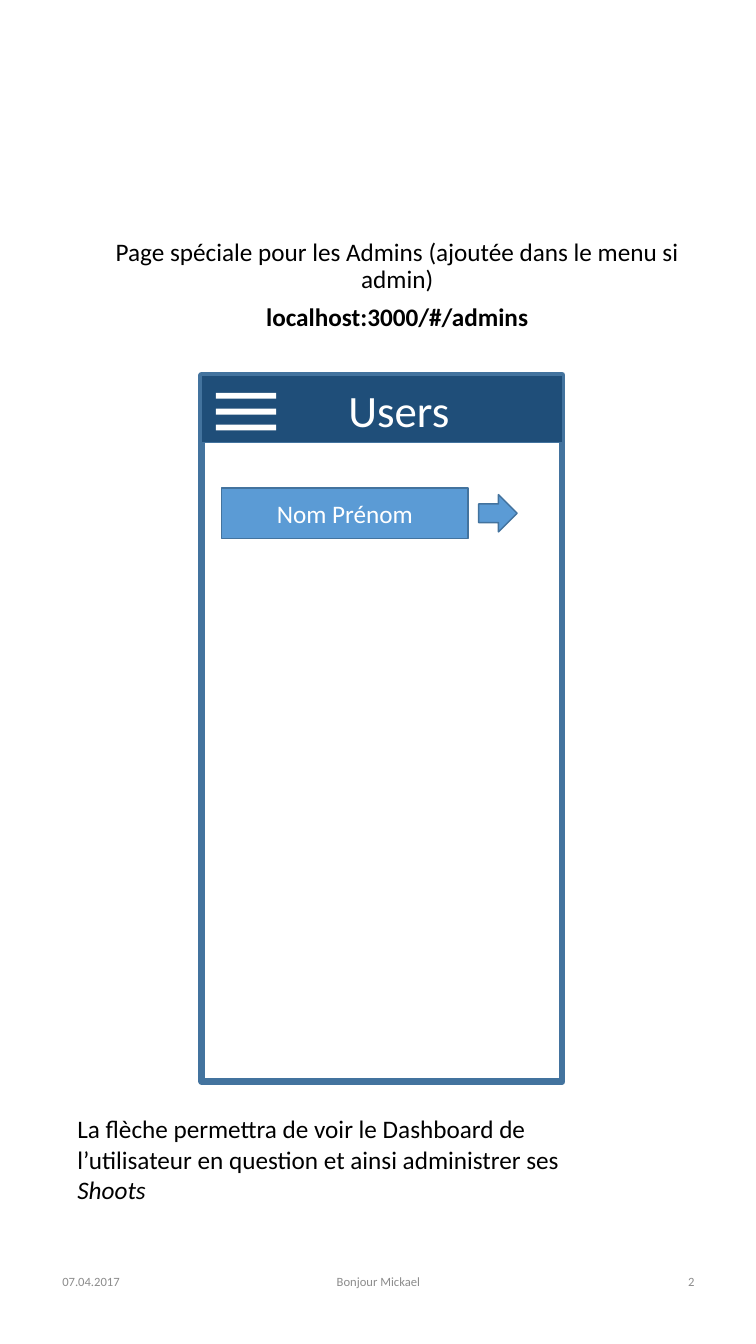
import pptx
import pptx.util
import pptx.dml.color
import pptx.enum.shapes
import pptx.enum.text
from dataclasses import dataclass

Cm = pptx.util.Cm
SHAPES = pptx.enum.shapes.MSO_SHAPE
ALIGN = pptx.enum.text.PP_ALIGN
ANCHOR = pptx.enum.text.MSO_ANCHOR


@dataclass(frozen=True)
class Theme:
    font: str = "Calibri"
    ink: str = "000000"
    muted: str = "8C8C8C"
    white: str = "FFFFFF"
    header: str = "1F4E79"
    accent: str = "5B9BD5"
    outline: str = "43739E"
    title_size: int = 32
    body_size: int = 18
    footer_size: int = 9
    frame_line: float = 4.5
    thin_line: float = 1


THEME = Theme()


def rgb(colour):
    return pptx.dml.color.RGBColor.from_string(colour)


def apply(target, settings):
    for name, value in settings.items():
        setattr(target, name, value)


def write(holder, paragraphs, size, colour, anchor=ANCHOR.TOP, **layout):
    """Fill a text frame; each paragraph is a list of (text, font settings)."""
    frame = holder.text_frame
    apply(frame, {"word_wrap": True, "vertical_anchor": anchor})
    for index, runs in enumerate(paragraphs):
        paragraph = frame.paragraphs[0] if index == 0 else frame.add_paragraph()
        apply(paragraph, layout)
        for text, emphasis in runs:
            run = paragraph.add_run()
            run.text = text
            apply(run.font, {"name": THEME.font, "size": pptx.util.Pt(size), **emphasis})
            run.font.color.rgb = rgb(colour)


def add_text(slide, box, paragraphs, size, colour, **layout):
    holder = slide.shapes.add_textbox(*map(Cm, box))
    write(holder, paragraphs, size, colour, **layout)


def add_block(slide, kind, box, fill=None, line_width=None):
    block = slide.shapes.add_shape(kind, *map(Cm, box))
    block.shadow.inherit = False
    if fill:
        block.fill.solid()
        block.fill.fore_color.rgb = rgb(fill)
    else:
        block.fill.background()
    if line_width:
        block.line.color.rgb = rgb(THEME.outline)
        block.line.width = pptx.util.Pt(line_width)
    else:
        block.line.fill.background()
    return block


def add_intro(slide, box):
    add_text(slide, box,
             [[("Page spéciale pour les Admins (ajoutée dans le menu si admin)", {})],
              [("localhost:3000/#/admins", {"bold": True})]],
             THEME.body_size, THEME.ink, alignment=ALIGN.CENTER,
             line_spacing=0.9, space_before=pptx.util.Pt(7.5))


def add_footer(slide, box):
    left, top, width, height = box
    side, middle = 4.29, 6.43
    cells = [("07.04.2017", left, side, ALIGN.LEFT),
             ("Bonjour Mickael", left + (width - middle) / 2, middle, ALIGN.CENTER),
             ("2", left + width - side, side, ALIGN.RIGHT)]
    for text, cell_left, cell_width, alignment in cells:
        add_text(slide, (cell_left, top, cell_width, height), [[(text, {})]],
                 THEME.footer_size, THEME.muted,
                 anchor=ANCHOR.MIDDLE, alignment=alignment)


def add_header(slide, box):
    left, top, width, height = box
    add_block(slide, SHAPES.RECTANGLE, box, THEME.header, THEME.thin_line)
    add_text(slide, (left + 3.45, top + 0.08, 3.56, 1.63), [[("Users", {})]],
             THEME.title_size, THEME.white)
    # Menu bars
    for row in range(3):
        add_block(slide, SHAPES.RECTANGLE,
                  (left + 0.36, top + 0.45 + row * 0.4, 1.52, 0.15), THEME.white)


def add_user_row(slide, box):
    left, top, width, height = box
    arrow_width, arrow_height, gap = 0.97, 0.94, 0.27
    name_width = width - arrow_width - gap
    user = add_block(slide, SHAPES.RECTANGLE, (left, top, name_width, height),
                     THEME.accent, THEME.thin_line)
    write(user, [[("Nom Prénom", {})]], THEME.body_size, THEME.white,
          anchor=ANCHOR.MIDDLE, alignment=ALIGN.CENTER)
    add_block(slide, SHAPES.RIGHT_ARROW,
              (left + name_width + gap, top + (height - arrow_height) / 2,
               arrow_width, arrow_height), THEME.accent, THEME.thin_line)


def add_phone(slide, box):
    left, top, width, height = box
    add_block(slide, SHAPES.RECTANGLE, box, line_width=THEME.frame_line)
    add_header(slide, (left, top, width, 1.7))
    add_user_row(slide, (left + 0.51, top + 2.85, 7.44, 1.27))


def add_note(slide, box):
    add_text(slide, box,
             [[("La flèche permettra de voir le Dashboard de l’utilisateur "
                "en question et ainsi administrer ses ", {}),
               ("Shoots", {"italic": True})]],
             THEME.body_size, THEME.ink)


def main():
    deck = pptx.Presentation()
    apply(deck, {"slide_width": Cm(19.05), "slide_height": Cm(33.87)})
    slide = deck.slides.add_slide(deck.slide_layouts[6])
    add_intro(slide, (2.39, 5.92, 15.24, 3.2))
    add_footer(slide, (1.32, 31.39, 16.43, 1.8))
    add_phone(slide, (5.08, 9.45, 9.09, 17.81))
    add_note(slide, (1.7, 27.94, 13.89, 2.57))
    deck.save("out.pptx")


main()
